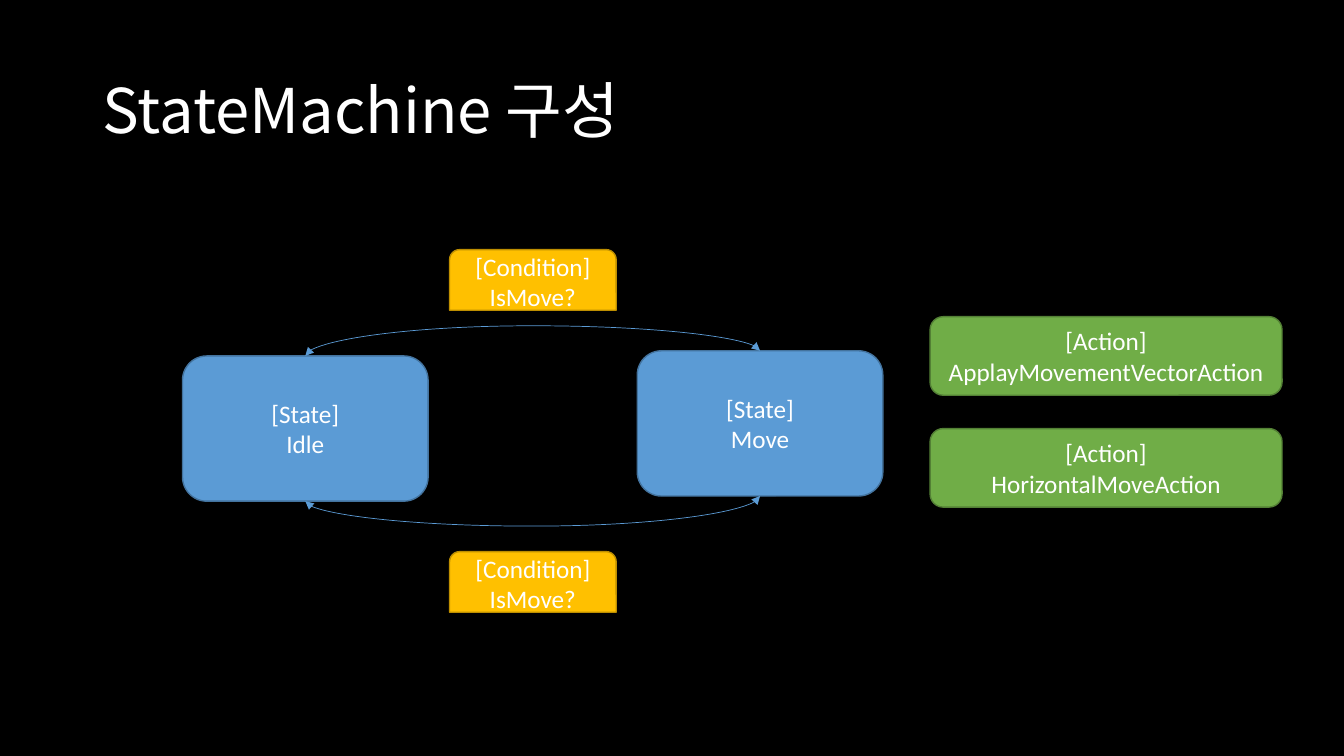
from lxml import etree
from pptx import Presentation
from pptx.dml.color import RGBColor
from pptx.enum.shapes import MSO_CONNECTOR, MSO_SHAPE
from pptx.enum.text import MSO_ANCHOR, PP_ALIGN
from pptx.oxml.ns import qn
from pptx.util import Cm, Pt

CURVE = MSO_CONNECTOR.CURVE
ROUND = MSO_SHAPE.ROUNDED_RECTANGLE
ROUND_TOP = MSO_SHAPE.ROUND_2_SAME_RECTANGLE
MIDDLE = MSO_ANCHOR.MIDDLE
LEFT, CENTER = PP_ALIGN.LEFT, PP_ALIGN.CENTER

BLACK = RGBColor(0x00, 0x00, 0x00)
WHITE = RGBColor(0xFF, 0xFF, 0xFF)
BLUE = RGBColor(0x5B, 0x9B, 0xD5)
DARK_BLUE = RGBColor(0x43, 0x73, 0x9E)
GOLD = RGBColor(0xFF, 0xC0, 0x00)
DARK_GOLD = RGBColor(0xBD, 0x8E, 0x00)
GREEN = RGBColor(0x70, 0xAD, 0x47)
DARK_GREEN = RGBColor(0x53, 0x80, 0x35)

TITLE = "StateMachine 구성"
TITLE_BOX = (2.33, 1.01, 29.21, 3.68)
TITLE_FONT = {"name": "Noto Sans CJK KR", "size": Pt(44)}
BODY_FONT = {"name": "Calibri", "size": Pt(18)}

KINDS = {
    "State": (ROUND, BLUE, DARK_BLUE, 6.19, 3.66),
    "Condition": (ROUND_TOP, GOLD, DARK_GOLD, 4.2, 1.53),
    "Action": (ROUND, GREEN, DARK_GREEN, 8.87, 1.98),
}
IDLE = (4.6, 8.97)
MOVE = (16.06, 8.84)
BOXES = [
    ("State", "Idle", *IDLE),
    ("State", "Move", *MOVE),
    ("Condition", "IsMove?", 11.33, 6.29),
    ("Condition", "IsMove?", 11.33, 13.9),
    ("Action", "ApplayMovementVectorAction", 23.44, 7.98),
    ("Action", "HorizontalMoveAction", 23.44, 10.8),
]
STATE_W, STATE_H = KINDS["State"][3:]
ARCS = [(0, 0.76), (STATE_H, -0.63)]


def write(p, text, font, align):
    """Put formatted white text in a paragraph."""
    p.alignment = align
    r = p.add_run()
    r.text = text
    for key, value in font.items():
        setattr(r.font, key, value)
    r.font.color.rgb = WHITE
    return r


def add_box(slide, kind, name, x, y):
    """Add a two-line box of the given kind."""
    shape, fill, line, w, h = KINDS[kind]
    sp = slide.shapes.add_shape(shape, Cm(x), Cm(y), Cm(w), Cm(h))
    sp.shadow.inherit = False
    sp.fill.solid()
    sp.fill.fore_color.rgb = fill
    sp.line.color.rgb = line
    sp.line.width = Pt(1)
    tf = sp.text_frame
    tf.word_wrap = True
    tf.vertical_anchor = MIDDLE
    write(tf.paragraphs[0], f"[{kind}]", BODY_FONT, CENTER)
    write(tf.add_paragraph(), name, BODY_FONT, CENTER)


def add_arc(slide, offset, bulge):
    """Join the two states by a quarter-turned curve that bulges upward."""
    span, rise = MOVE[0] - IDLE[0], IDLE[1] - MOVE[1]
    cx = IDLE[0] + (STATE_W + span) / 2
    cy = offset + (IDLE[1] + MOVE[1]) / 2
    cn = slide.shapes.add_connector(
        CURVE, Cm(cx + rise / 2), Cm(cy + span / 2),
        Cm(cx - rise / 2), Cm(cy - span / 2))
    cn.line.color.rgb = BLUE
    cn.line.width = Pt(0.5)
    pr = cn._element.spPr
    pr.find(qn("a:xfrm")).set("rot", str(90 * 60000))
    guides = pr.find(qn("a:prstGeom")).find(qn("a:avLst"))
    etree.SubElement(guides, qn("a:gd"), name="adj1",
                     fmla=f"val {round(bulge / rise * 100000)}")
    for end in ("headEnd", "tailEnd"):
        etree.SubElement(pr.find(qn("a:ln")), qn(f"a:{end}"), type="triangle")
    etree.SubElement(pr, qn("a:effectLst"))


def main():
    """Build the state machine slide."""
    prs = Presentation()
    prs.slide_width, prs.slide_height = Cm(33.87), Cm(19.05)
    slide = prs.slides.add_slide(prs.slide_layouts[5])
    slide.background.fill.solid()
    slide.background.fill.fore_color.rgb = BLACK

    title = slide.shapes.title
    title.left, title.top, title.width, title.height = map(Cm, TITLE_BOX)
    title.text_frame.vertical_anchor = MIDDLE
    p = title.text_frame.paragraphs[0]
    p.line_spacing = 0.9
    r = write(p, TITLE, TITLE_FONT, LEFT)
    etree.SubElement(r.font._element, qn("a:ea"), typeface=TITLE_FONT["name"])

    for box in BOXES:
        add_box(slide, *box)
    for arc in ARCS:
        add_arc(slide, *arc)
    prs.save("out.pptx")


if __name__ == "__main__":
    main()
